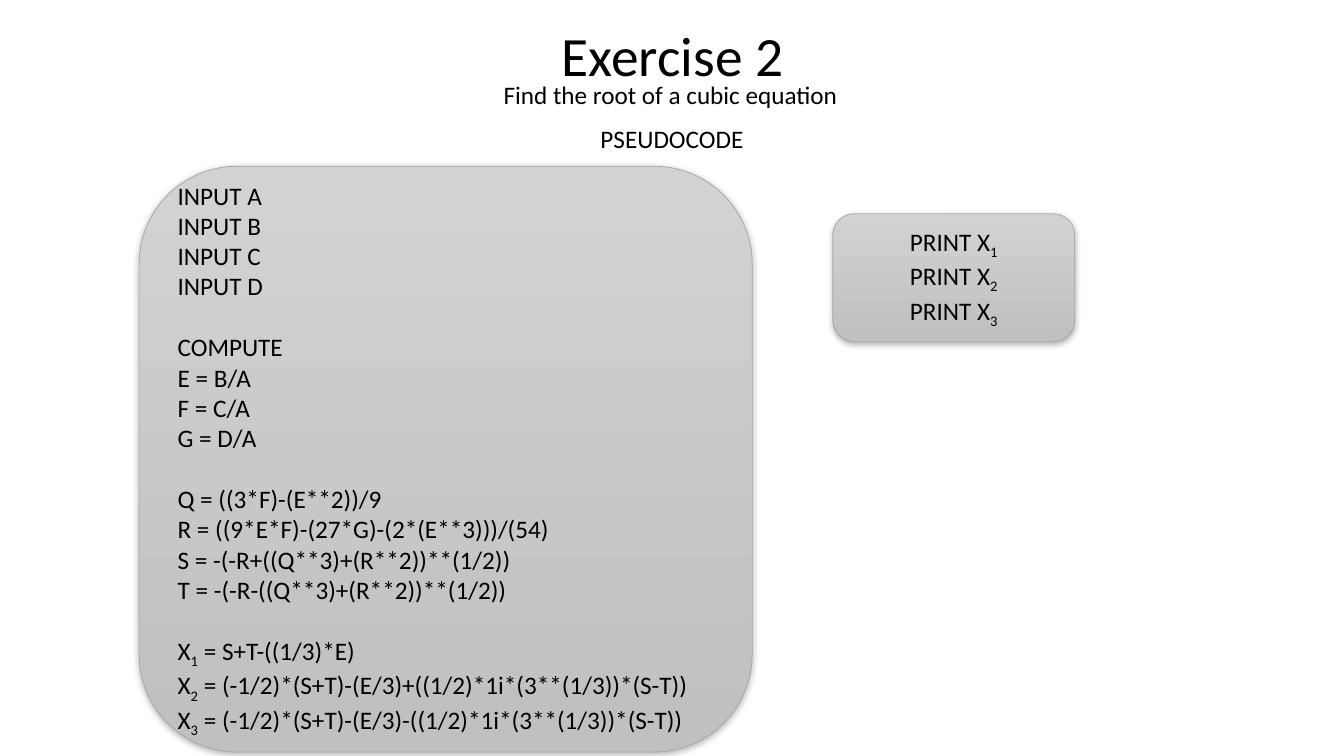
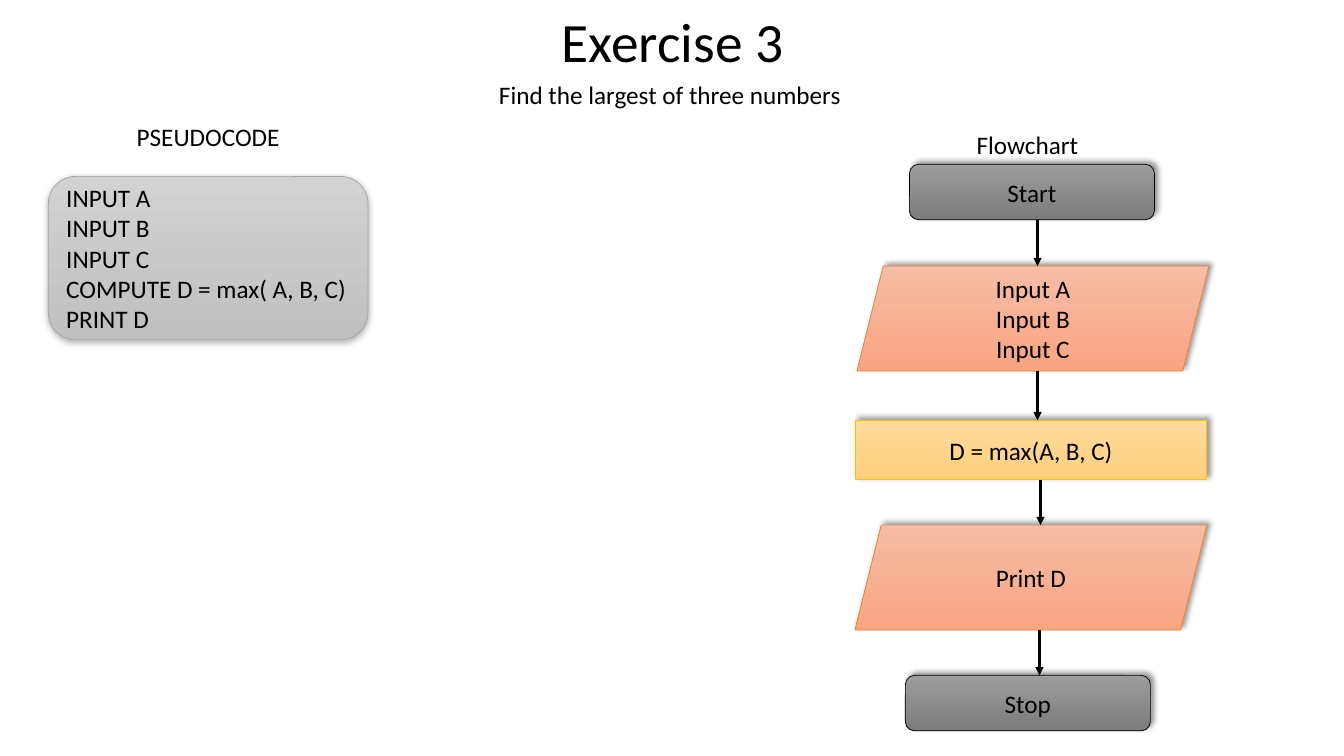
from lxml.etree import SubElement
from pptx import Presentation
from pptx.dml.color import RGBColor
from pptx.enum.shapes import MSO_CONNECTOR, MSO_SHAPE
from pptx.enum.text import MSO_ANCHOR, PP_ALIGN
from pptx.oxml.ns import qn
from pptx.util import Inches, Pt

FONT = "Calibri"
BLACK = "000000"
# Each style holds the top colour, the bottom colour and the outline.
PANEL = ("D2D2D2", "C0C0C0", "A5A5A5")
TERMINAL = ("9D9D9D", "7C7C7C", BLACK)
DATA = ("F7BDA5", "F8A582", "ED7D31")
PROCESS = ("FFDB9E", "FFD07C", "FFC000")
# Each shadow holds blur and distance in points, direction in degrees, opacity in percent.
SOFT_SHADOW = (4.5, 1.5, 90, 30)
FLOW_SHADOW = (4, 3, 315, 40)


def write_text(shape, text, size=18, align=PP_ALIGN.CENTER, anchor=MSO_ANCHOR.MIDDLE,
               wrap=True, line_spacing=None):
    """Write lines in groups split by an empty line; "_" lowers the next character."""
    frame = shape.text_frame
    frame.word_wrap = wrap
    frame.vertical_anchor = anchor
    paragraph = None
    for group_index, group in enumerate(text.split("\n\n")):
        for line_index, line in enumerate(group.split("\n")):
            paragraph = frame.add_paragraph() if paragraph else frame.paragraphs[0]
            paragraph.alignment = align
            paragraph.line_spacing = line_spacing
            if group_index and not line_index:
                paragraph.space_before = Pt(22)
            plain, *lowered = line.split("_")
            pieces = [(plain, False)]
            for part in lowered:
                pieces += [(part[0], True), (part[1:], False)]
            for piece, is_subscript in pieces:
                if not piece:
                    continue
                run = paragraph.add_run()
                run.text = piece
                run.font.size = Pt(size)
                run.font.name = FONT
                run.font.color.rgb = RGBColor.from_string(BLACK)
                if is_subscript:
                    run.font._element.set("baseline", "-25000")


def add_box(slide, kind, box, style, text, shadow=FLOW_SHADOW, **text_format):
    """Add a shape with a vertical gradient, a thin outline, a shadow and text."""
    shape = slide.shapes.add_shape(kind, *map(Inches, box))
    top_color, bottom_color, line_color = style
    shape.fill.gradient()
    shape.fill.gradient_angle = 270
    for stop, color in zip(shape.fill.gradient_stops, (top_color, bottom_color)):
        stop.color.rgb = RGBColor.from_string(color)
    shape.line.color.rgb = RGBColor.from_string(line_color)
    shape.line.width = Pt(0.5)
    shape.shadow.inherit = False
    blur, distance, direction, opacity = shadow
    effects = shape._element.spPr.find(qn("a:effectLst"))
    outer = SubElement(effects, qn("a:outerShdw"), blurRad=str(Pt(blur)), dist=str(Pt(distance)),
                       dir=str(direction * 60000), algn="ctr", rotWithShape="0")
    shadow_color = SubElement(outer, qn("a:srgbClr"), val=BLACK)
    SubElement(shadow_color, qn("a:alpha"), val=str(opacity * 1000))
    write_text(shape, text, **text_format)


presentation = Presentation()
presentation.slide_width = Inches(13.33)
presentation.slide_height = Inches(7.5)

# Titles and labels of both slides
slides = []
for title, title_top, title_height, labels in [
    ("Exercise 2", 0.33, 0.51, [
        ("Find the root of a cubic equation", 4.87, 0.74, 3.56),
        ("PSEUDOCODE", 5.85, 1.17, 1.63)]),
    ("Exercise 3", 0.14, 0.6, [
        ("Find the largest of three numbers", 4.83, 0.74, 3.63),
        ("PSEUDOCODE", 1.25, 1.15, 1.63),
        ("Flowchart", 9.58, 1.23, 1.22)]),
]:
    slide = presentation.slides.add_slide(presentation.slide_layouts[6])
    slides.append(slide)
    title_box = slide.shapes.add_textbox(
        Inches(0.92), Inches(title_top), Inches(11.5), Inches(title_height))
    write_text(title_box, title, size=39.6, line_spacing=0.9)
    for label, left, top, width in labels:
        label_box = slide.shapes.add_textbox(
            Inches(left), Inches(top), Inches(width), Inches(0.4))
        write_text(label_box, label, anchor=MSO_ANCHOR.TOP, wrap=False)
cubic_slide, largest_slide = slides

# Pseudocode panels
CUBIC_CODE = """INPUT A
INPUT B
INPUT C
INPUT D

COMPUTE
E = B/A
F = C/A
G = D/A

Q = ((3*F)-(E**2))/9
R = ((9*E*F)-(27*G)-(2*(E**3)))/(54)
S = -(-R+((Q**3)+(R**2))**(1/2))
T = -(-R-((Q**3)+(R**2))**(1/2))

X_1 = S+T-((1/3)*E)
X_2 = (-1/2)*(S+T)-(E/3)+((1/2)*1i*(3**(1/3))*(S-T))
X_3 = (-1/2)*(S+T)-(E/3)-((1/2)*1i*(3**(1/3))*(S-T))"""
LARGEST_CODE = "INPUT A\nINPUT B\nINPUT C\nCOMPUTE D = max( A, B, C)\nPRINT D"
for slide, box, code, align in [
    (cubic_slide, (1.38, 1.65, 6.08, 5.81), CUBIC_CODE, PP_ALIGN.LEFT),
    (cubic_slide, (8.26, 2.12, 2.4, 1.27), "PRINT X_1\nPRINT X_2\nPRINT X_3", PP_ALIGN.CENTER),
    (largest_slide, (0.48, 1.75, 3.17, 1.62), LARGEST_CODE, PP_ALIGN.LEFT),
]:
    add_box(slide, MSO_SHAPE.ROUNDED_RECTANGLE, box, PANEL, code,
            shadow=SOFT_SHADOW, align=align)

# Flowchart: each step is joined to the one above it
previous_bottom = None
for kind, style, box, text, arrow_x in [
    (MSO_SHAPE.ROUNDED_RECTANGLE, TERMINAL, (9.02, 1.63, 2.43, 0.55), "Start", None),
    (MSO_SHAPE.PARALLELOGRAM, DATA, (8.5, 2.64, 3.49, 1.04), "Input A\nInput B\nInput C", 10.29),
    (MSO_SHAPE.RECTANGLE, PROCESS, (8.48, 4.17, 3.49, 0.59), "D = max(A, B, C)", 10.29),
    (MSO_SHAPE.PARALLELOGRAM, DATA, (8.48, 5.21, 3.49, 1.04), "Print D", 10.32),
    (MSO_SHAPE.ROUNDED_RECTANGLE, TERMINAL, (8.98, 6.7, 2.43, 0.55), "Stop", 10.31),
]:
    add_box(largest_slide, kind, box, style, text)
    left, top, width, height = box
    if previous_bottom is not None:
        arrow = largest_slide.shapes.add_connector(
            MSO_CONNECTOR.STRAIGHT, Inches(arrow_x), Inches(previous_bottom),
            Inches(arrow_x), Inches(top))
        arrow.line.color.rgb = RGBColor.from_string(BLACK)
        arrow.line.width = Pt(1.5)
        SubElement(arrow.line._get_or_add_ln(), qn("a:tailEnd"), type="triangle")
        SubElement(arrow._element.spPr, qn("a:effectLst"))
    previous_bottom = top + height

presentation.save("out.pptx")
